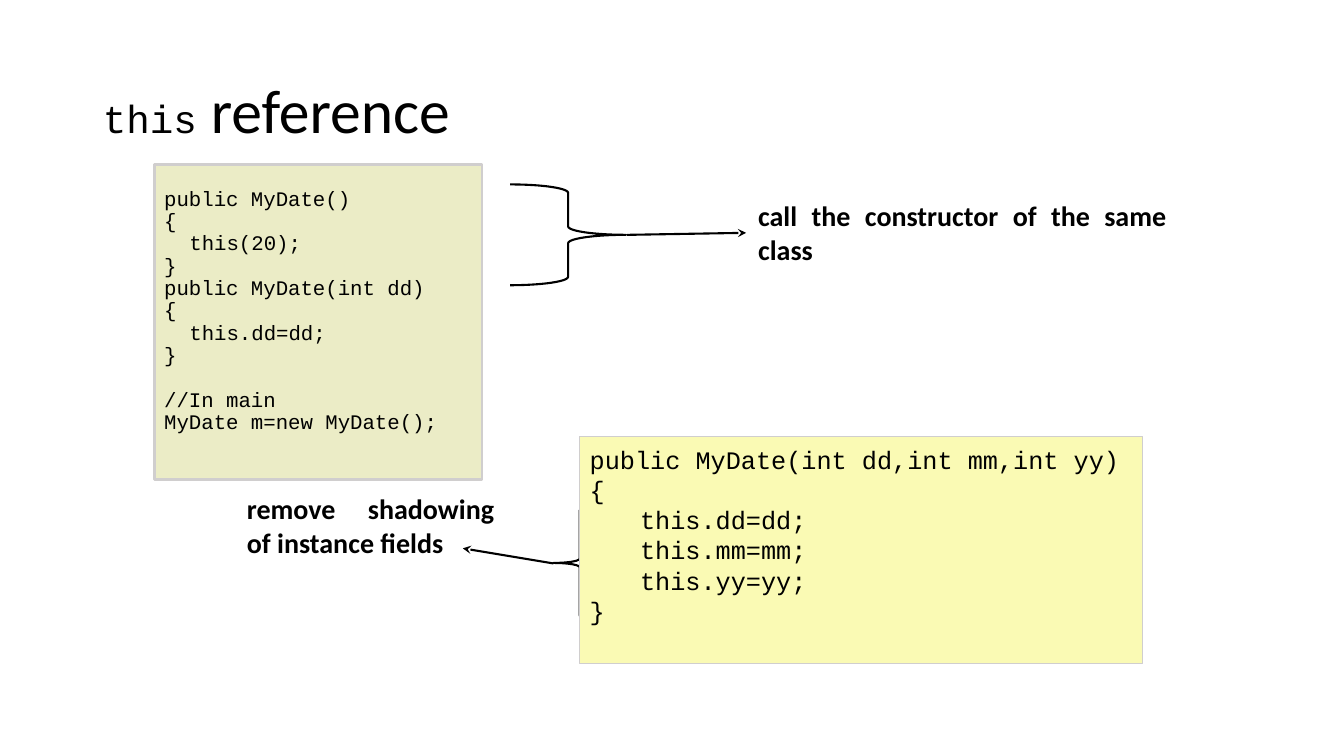
"""Build the slide on the this reference, with two code panels and their notes."""
from dataclasses import dataclass

from lxml.etree import SubElement
from pptx import Presentation
from pptx.dml.color import RGBColor
from pptx.enum.shapes import MSO_CONNECTOR, MSO_SHAPE
from pptx.enum.text import MSO_ANCHOR, MSO_AUTO_SIZE, PP_ALIGN
from pptx.oxml.ns import qn
from pptx.util import Inches, Pt

BLACK = RGBColor(0x00, 0x00, 0x00)
GREY = RGBColor(0xD0, 0xCE, 0xCE)
OLIVE = RGBColor(0xEB, 0xEC, 0xC6)
YELLOW = RGBColor(0xFA, 0xFA, 0xB4)
CODE_FONT, TEXT_FONT = "Courier New", "Calibri"
HANG = 0.32


@dataclass(frozen=True)
class Box:
    left: float
    top: float
    width: float
    height: float

    def lengths(self) -> list:
        return [Inches(v) for v in (self.left, self.top, self.width, self.height)]


@dataclass(frozen=True)
class Note:
    text: str
    box: Box
    brace: MSO_SHAPE
    brace_box: Box
    start: tuple[float, float]
    end: tuple[float, float]


@dataclass(frozen=True)
class CodeLine:
    text: str
    level: int = 0
    gap: float = 0


@dataclass(frozen=True)
class CodePanel:
    box: Box
    fill: RGBColor
    border: float
    size: float
    pitch: float
    tab: float
    bottom: float
    lines: tuple[CodeLine, ...]


TITLE_BOX = Box(0.92, 0.4, 11.5, 1.45)
TITLE_RUNS = (("this", CODE_FONT, 28), (" reference", TEXT_FONT, 44))

NOTES = (
    Note("call the constructor of the same class", Box(6.92, 1.92, 4.75, 0.77),
         MSO_SHAPE.RIGHT_BRACE, Box(5.06, 1.83, 1.15, 1), (6.22, 2.33), (7.4, 2.31)),
    Note("remove shadowing of instance fields", Box(1.85, 4.83, 3.15, 0.77),
         MSO_SHAPE.LEFT_BRACE, Box(5.49, 5.02, 0.52, 1.13), (5.49, 5.59), (4.59, 5.44)),
)

PANELS = (
    CodePanel(Box(1.53, 1.63, 3.25, 3.13), OLIVE, 2, 14.8, 16, 0.25, 0.27, (
        CodeLine("public MyDate()"),
        CodeLine("{"),
        CodeLine("this(20);", 1),
        CodeLine("}"),
        CodeLine("public MyDate(int dd)"),
        CodeLine("{"),
        CodeLine("this.dd=dd;", 1),
        CodeLine("}"),
        CodeLine("//In main", gap=16),
        CodeLine("MyDate m=new MyDate();"),
    )),
    CodePanel(Box(5.75, 4.33, 5.58, 2.25), YELLOW, 1, 18, 21.6, 0.5, 0.35, (
        CodeLine("public MyDate(int dd,int mm,int yy)"),
        CodeLine("{"),
        CodeLine("this.dd=dd;", 1),
        CodeLine("this.mm=mm;", 1),
        CodeLine("this.yy=yy;", 1),
        CodeLine("}"),
    )),
)


def apply(target, formats: dict) -> None:
    for name, value in formats.items():
        setattr(target, name, value)


def add_run(p, text: str, font: str, size: float, bold: bool = False) -> None:
    r = p.add_run()
    r.text = text
    apply(r.font, {"name": font, "size": Pt(size), "bold": bold})
    r.font.color.rgb = BLACK


def set_indent(p, margin: float, first: float) -> None:
    pPr = p._p.get_or_add_pPr()
    pPr.set("marL", str(Inches(margin)))
    pPr.set("indent", str(Inches(first)))


def set_frame(tf, formats: dict, bottom: float = 0.05) -> None:
    apply(tf, {"word_wrap": True, "margin_left": Inches(0.1), "margin_right": Inches(0.1),
               "margin_top": Inches(0.05), "margin_bottom": Inches(bottom)} | formats)


def set_line(sp, color: RGBColor, width: float) -> None:
    sp.line.color.rgb = color
    sp.line.width = Pt(width)


def fill_title(sp) -> None:
    apply(sp, dict(zip(("left", "top", "width", "height"), TITLE_BOX.lengths())))
    tf = sp.text_frame
    set_frame(tf, {"vertical_anchor": MSO_ANCHOR.MIDDLE, "auto_size": MSO_AUTO_SIZE.NONE})
    p = tf.paragraphs[0]
    apply(p, {"alignment": PP_ALIGN.LEFT, "line_spacing": 0.9})
    for text, font, size in TITLE_RUNS:
        add_run(p, text, font, size)


def add_arrow(s, start: tuple[float, float], end: tuple[float, float]) -> None:
    arrow = s.shapes.add_connector(MSO_CONNECTOR.STRAIGHT,
                                   *(Inches(v) for v in (*start, *end)))
    set_line(arrow, BLACK, 1.5)
    SubElement(arrow.line._get_or_add_ln(), qn("a:tailEnd"), type="stealth")
    SubElement(arrow._element.spPr, qn("a:effectLst"))


def add_note(s, note: Note) -> None:
    brace = s.shapes.add_shape(note.brace, *note.brace_box.lengths())
    brace.shadow.inherit = False
    brace.fill.background()
    set_line(brace, BLACK, 1.5)
    add_arrow(s, note.start, note.end)
    tf = s.shapes.add_textbox(*note.box.lengths()).text_frame
    set_frame(tf, {"auto_size": MSO_AUTO_SIZE.SHAPE_TO_FIT_TEXT})
    p = tf.paragraphs[0]
    apply(p, {"alignment": PP_ALIGN.JUSTIFY, "level": 1})
    set_indent(p, 0.5, 0)
    add_run(p, note.text, TEXT_FONT, 20, True)


def add_panel(s, panel: CodePanel) -> None:
    sp = s.shapes.add_shape(MSO_SHAPE.ROUNDED_RECTANGLE, *panel.box.lengths())
    sp.adjustments[0] = 0
    sp.shadow.inherit = False
    sp.fill.solid()
    sp.fill.fore_color.rgb = panel.fill
    set_line(sp, GREY, panel.border)
    tf = sp.text_frame
    set_frame(tf, {"vertical_anchor": MSO_ANCHOR.MIDDLE}, panel.bottom)
    for i, line in enumerate(panel.lines):
        p = tf.add_paragraph() if i else tf.paragraphs[0]
        apply(p, {"alignment": PP_ALIGN.LEFT, "level": line.level,
                  "line_spacing": Pt(panel.pitch), "space_before": Pt(line.gap)})
        set_indent(p, HANG + line.level * panel.tab, -HANG)
        add_run(p, line.text, CODE_FONT, panel.size)


def main() -> None:
    prs = Presentation()
    apply(prs, {"slide_width": Inches(13.33), "slide_height": Inches(7.5)})
    s = prs.slides.add_slide(prs.slide_layouts[5])
    fill_title(s.shapes.title)
    for note in NOTES:
        add_note(s, note)
    for panel in PANELS:
        add_panel(s, panel)
    prs.save("out.pptx")


if __name__ == "__main__":
    main()
